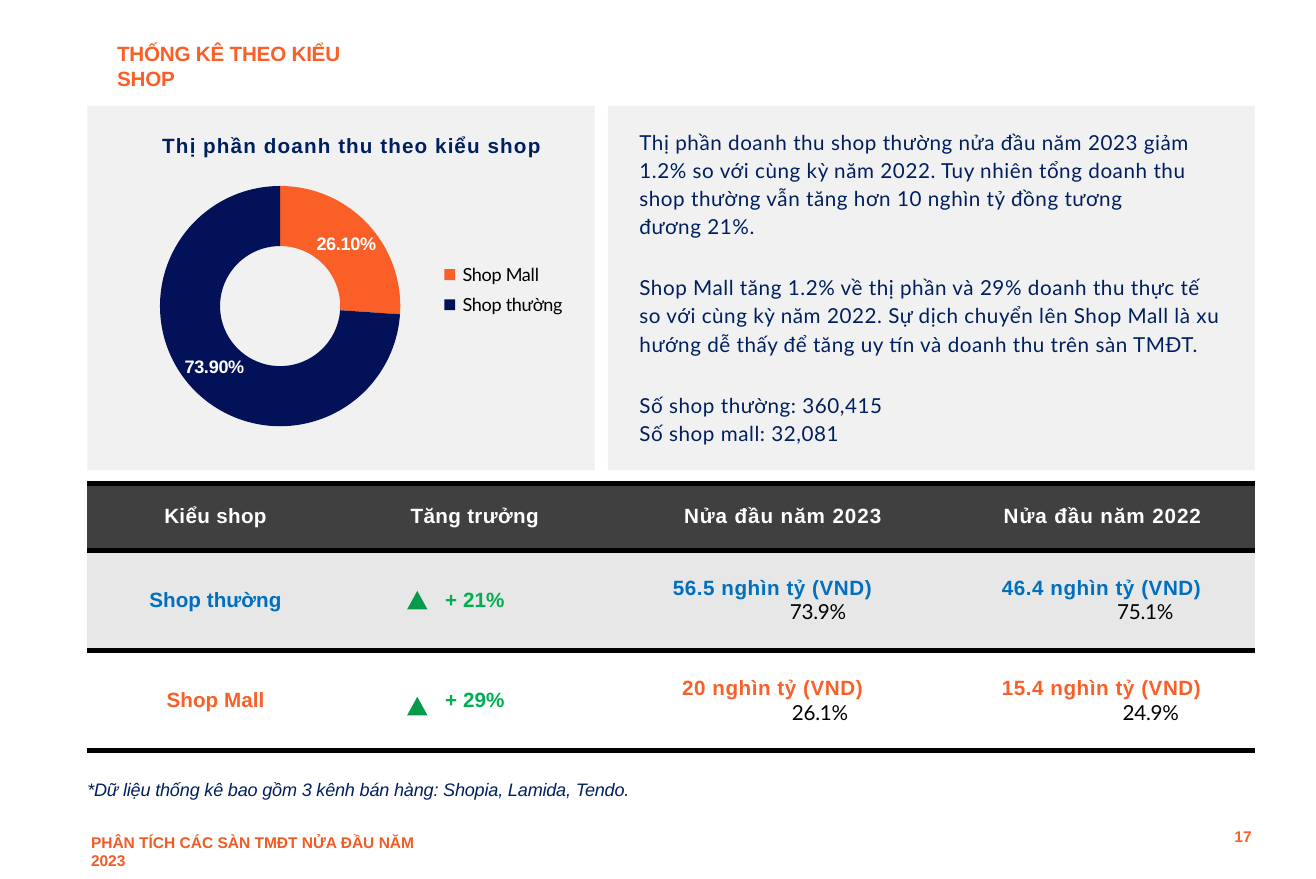
from typing import Any, NamedTuple

import lxml.etree
import pptx
import pptx.chart.data
import pptx.dml.color
import pptx.enum.chart
import pptx.enum.shapes
import pptx.enum.text
import pptx.oxml.ns
import pptx.util

Inches = pptx.util.Inches
Pt = pptx.util.Pt
qn = pptx.oxml.ns.qn
ALIGN = pptx.enum.text.PP_ALIGN
SHAPE = pptx.enum.shapes.MSO_SHAPE

COLORS = {
    "panel": "F1F1F1", "orange": "FA5F27", "rust": "F05C25", "navy": "031258",
    "ink": "001F5F", "blue": "006FC0", "green": "00AF50", "leaf": "059B4A",
    "head": "404040", "band": "E7E7E7", "white": "FFFFFF", "black": "000000",
}


class Style(NamedTuple):
    color: str
    size: float = 8
    face: str = "Arial"
    bold: bool = True
    slant: bool = False
    space: float = 0


class Line(NamedTuple):
    text: str
    style: Style
    indent: float | None = None  # None centres the line


class Label(NamedTuple):
    text: str
    box: tuple[float, float, float, float]
    style: Style


class Row(NamedTuple):
    height: float
    fill: str | None
    cells: list[list[Line]]


def rgb(name: str) -> pptx.dml.color.RGBColor:
    return pptx.dml.color.RGBColor.from_string(COLORS[name])


def set_font(font: Any, style: Style) -> None:
    font.name, font.size = style.face, Pt(style.size)
    font.bold, font.italic = style.bold, style.slant
    font.color.rgb = rgb(style.color)


def add_run(para: Any, text: str, style: Style) -> None:
    run = para.add_run()
    run.text = text
    set_font(run.font, style)
    if style.space:
        run.font._element.set("spc", str(round(style.space * 100)))


def set_frame(frame: Any, left: float = 0, top: float = 0) -> None:
    frame.word_wrap = True
    frame.vertical_anchor = pptx.enum.text.MSO_ANCHOR.TOP
    frame.margin_left, frame.margin_top = Inches(left), Inches(top)
    frame.margin_right = frame.margin_bottom = 0


def add_solid(slide: Any, kind: Any, box: tuple[float, ...], color: str) -> Any:
    shape = slide.shapes.add_shape(kind, *map(Inches, box))
    shape.shadow.inherit = False
    shape.fill.solid()
    shape.fill.fore_color.rgb = rgb(color)
    shape.line.fill.background()
    return shape


def add_label(slide: Any, label: Label) -> None:
    frame = slide.shapes.add_textbox(*map(Inches, label.box)).text_frame
    set_frame(frame, top=0.02)
    add_run(frame.paragraphs[0], label.text, label.style)


def add_story(shape: Any, story: list[list[str]], style: Style) -> None:
    frame = shape.text_frame
    set_frame(frame, left=0.17, top=0.11)
    for i, lines in enumerate(story):
        para = frame.add_paragraph() if i else frame.paragraphs[0]
        para.alignment = ALIGN.LEFT
        para.line_spacing = 1.14
        if i:
            para.space_before = Pt(12.7)
        for j, line in enumerate(lines):
            if j:
                para.add_line_break()
            add_run(para, line, style)


def place(part: Any, index: int, **sizes: float) -> None:
    """Give a chart part a manual layout in fractions of the chart."""
    layout = part.find(qn("c:layout"))
    if layout is None:
        layout = lxml.etree.Element(qn("c:layout"))
        part.insert(index, layout)
    manual = lxml.etree.SubElement(layout, qn("c:manualLayout"))
    marks = {"layoutTarget": "inner"} if index == 0 else {}
    marks |= {"xMode": "edge", "yMode": "edge"}
    for tag, val in (marks | sizes).items():
        lxml.etree.SubElement(manual, qn(f"c:{tag}")).set("val", str(val))


def add_ring(slide: Any, box: tuple[float, ...]) -> None:
    data = pptx.chart.data.CategoryChartData(number_format="0.00%")
    data.categories = ["Shop Mall", "Shop thường"]
    data.add_series("Thị phần", (0.261, 0.739))
    chart = slide.shapes.add_chart(
        pptx.enum.chart.XL_CHART_TYPE.DOUGHNUT, *map(Inches, box), data).chart
    set_font(chart.font, Style("black", 7, "Lato", False))

    chart.has_title = True
    title = chart.chart_title
    add_run(title.text_frame.paragraphs[0], "Thị phần doanh thu theo kiểu shop",
            Style("ink", space=0.3))
    place(title._element, 1, x=0.14, y=0.06)

    chart.has_legend = True
    legend = chart.legend
    legend.position = pptx.enum.chart.XL_LEGEND_POSITION.RIGHT
    legend.include_in_layout = False
    set_font(legend.font, Style("black", 7, "Lato", False))
    place(legend._element, 1, x=0.67, y=0.41, w=0.3, h=0.19)

    plot = chart.plots[0]
    plot.vary_by_categories = True
    place(plot._element.getparent(), 0, x=0.14, y=0.22, w=0.48, h=0.66)
    plot._element.find(qn("c:holeSize")).set("val", "48")
    for i, color in enumerate(("orange", "navy")):
        form = plot.series[0].points[i].format
        form.fill.solid()
        form.fill.fore_color.rgb = rgb(color)
        form.line.fill.background()
    plot.has_data_labels = True
    labels = plot.data_labels
    labels.show_value, labels.show_percentage = True, False
    labels.number_format, labels.number_format_is_linked = "0.00%", False
    set_font(labels.font, Style("white", 7))


def set_edges(cell: Any) -> None:
    """Rule a cell above and below, with open sides."""
    props = cell._tc.get_or_add_tcPr()
    for side in "LRTB":
        edge = lxml.etree.SubElement(props, qn(f"a:ln{side}"))
        if side in "LR":
            lxml.etree.SubElement(edge, qn("a:noFill"))
            continue
        edge.set("w", str(Pt(2.25)))
        fill = lxml.etree.SubElement(edge, qn("a:solidFill"))
        lxml.etree.SubElement(fill, qn("a:srgbClr")).set("val", COLORS["black"])


def fill_cell(cell: Any, lines: list[Line], color: str | None) -> None:
    cell.margin_left = cell.margin_right = cell.margin_top = cell.margin_bottom = 0
    cell.vertical_anchor = pptx.enum.text.MSO_ANCHOR.MIDDLE
    set_edges(cell)
    if color:
        cell.fill.solid()
        cell.fill.fore_color.rgb = rgb(color)
    else:
        cell.fill.background()
    for i, line in enumerate(lines):
        para = cell.text_frame.add_paragraph() if i else cell.text_frame.paragraphs[0]
        para.alignment = ALIGN.CENTER if line.indent is None else ALIGN.LEFT
        if line.indent is not None:
            para._p.get_or_add_pPr().set("marL", str(Inches(line.indent)))
        add_run(para, line.text, line.style)


def add_grid(slide: Any, rows: list[Row], widths: list[float]) -> None:
    table = slide.shapes.add_table(
        len(rows), len(widths), Inches(0.47), Inches(2.6),
        Inches(sum(widths)), Inches(sum(row.height for row in rows))).table
    table.first_row = table.horz_banding = False
    for col, width in zip(table.columns, widths):
        col.width = Inches(width)
    for i, row in enumerate(rows):
        table.rows[i].height = Inches(row.height)
        for j, lines in enumerate(row.cells):
            fill_cell(table.cell(i, j), lines, row.fill)


def shop_row(name: str, growth: str, color: str, fill: str | None,
             sums: list[tuple[str, float, str, float]]) -> Row:
    bold = Style(color, space=0.2)
    share = Style("black", face="Lato", bold=False, space=-0.1)
    cells = [[Line(name, Style(color))], [Line(growth, Style("green"))]]
    cells += [[Line(cash, bold, left), Line(part, share, inset)]
              for cash, left, part, inset in sums]
    return Row(0.54, fill, cells)


def main() -> None:
    deck = pptx.Presentation()
    deck.slide_width, deck.slide_height = Inches(7.08), Inches(4.73)
    slide = deck.slides.add_slide(deck.slide_layouts[6])

    left = (0.47, 0.57, 2.73, 1.96)
    add_solid(slide, SHAPE.RECTANGLE, left, "panel")
    add_ring(slide, left)

    head, wide = Style("white", space=0.1), Style("white", space=0.35)
    rows = [
        Row(0.36, "head", [[Line("Kiểu shop", head)], [Line("Tăng trưởng", head)],
                           [Line("Nửa đầu năm 2023", wide, 0.42)],
                           [Line("Nửa đầu năm 2022", wide, 0.34)]]),
        shop_row("Shop thường", "+ 21%", "blue", "band",
                 [("56.5 nghìn tỷ (VND)", 0.36, "73.9%", 0.99),
                  ("46.4 nghìn tỷ (VND)", 0.33, "75.1%", 0.95)]),
        shop_row("Shop Mall", "+ 29%", "orange", None,
                 [("20 nghìn tỷ (VND)", 0.41, "26.1%", 1),
                  ("15.4 nghìn tỷ (VND)", 0.33, "24.9%", 0.98)]),
    ]
    add_grid(slide, rows, [1.38, 1.41, 1.8, 1.69])
    for top in (3.18, 3.75):
        add_solid(slide, SHAPE.ISOSCELES_TRIANGLE, (2.19, top, 0.11, 0.1), "leaf")

    right = add_solid(slide, SHAPE.RECTANGLE, (3.27, 0.57, 3.48, 1.96), "panel")
    add_story(right, [
        ["Thị phần doanh thu shop thường nửa đầu năm 2023 giảm",
         "1.2% so với cùng kỳ năm 2022. Tuy nhiên tổng doanh thu",
         "shop thường vẫn tăng hơn 10 nghìn tỷ đồng tương",
         "đương 21%."],
        ["Shop Mall tăng 1.2% về thị phần và 29% doanh thu thực tế",
         "so với cùng kỳ năm 2022. Sự dịch chuyển lên Shop Mall là xu",
         "hướng dễ thấy để tăng uy tín và doanh thu trên sàn TMĐT."],
        ["Số shop thường: 360,415", "Số shop mall: 32,081"],
    ], Style("ink", face="Lato", bold=False, space=0.2))

    for label in (
        Label("*Dữ liệu thống kê bao gồm 3 kênh bán hàng: Shopia, Lamida, Tendo.",
              (0.47, 4.17, 3.2, 0.14), Style("ink", 7, bold=False, slant=True, space=-0.07)),
        Label("17", (6.64, 4.43, 0.12, 0.13), Style("orange", 6, space=0.1)),
        Label("THỐNG KÊ THEO KIỂU SHOP", (0.63, 0.2, 1.45, 0.28),
              Style("orange", space=-0.1)),
        Label("PHÂN TÍCH CÁC SÀN TMĐT NỬA ĐẦU NĂM 2023", (0.49, 4.46, 1.9, 0.22),
              Style("rust", 6)),
    ):
        add_label(slide, label)
    deck.save("out.pptx")


if __name__ == "__main__":
    main()
